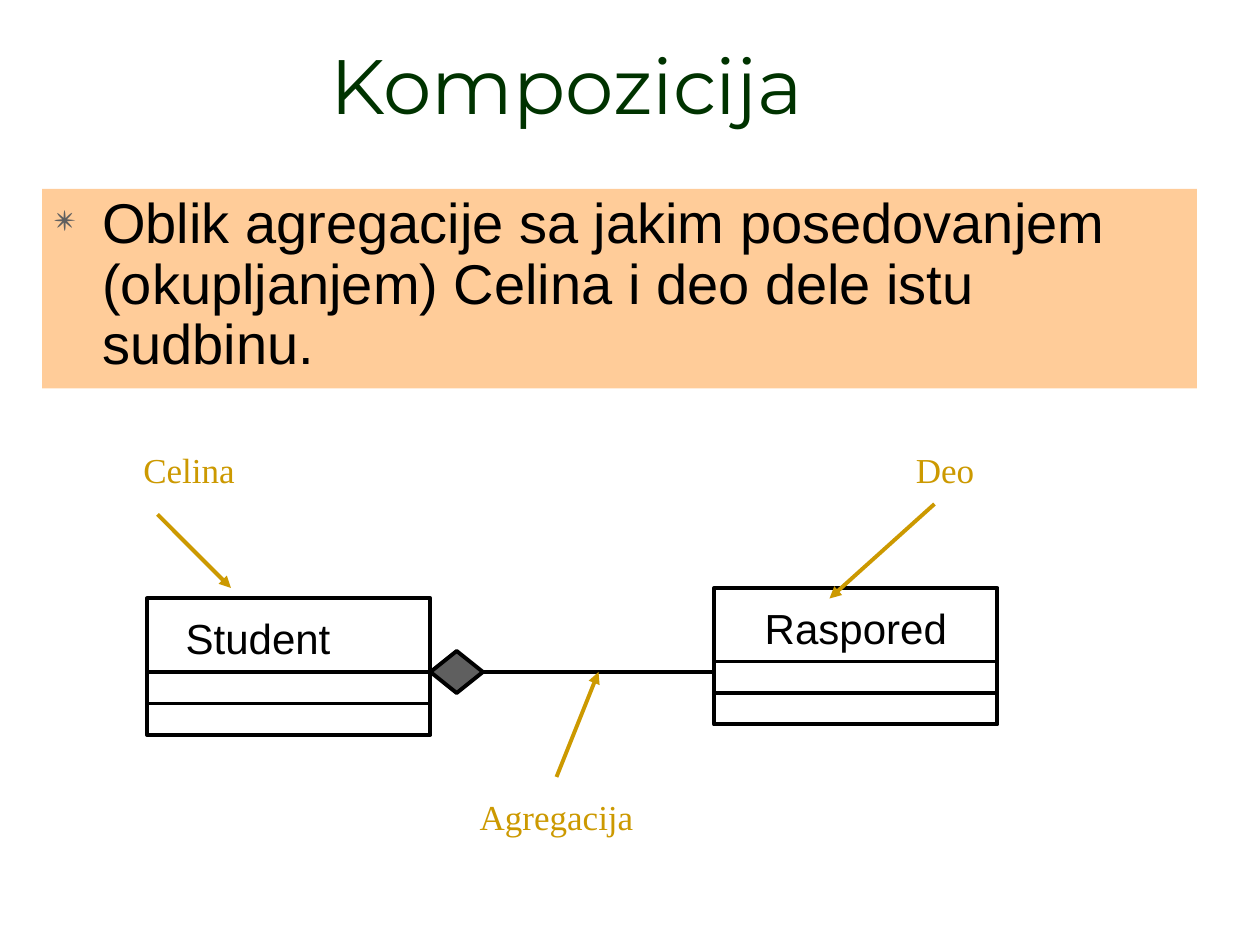
from pptx import Presentation
from pptx.dml.color import RGBColor as Rgb
from pptx.enum.shapes import MSO_CONNECTOR as Conn, MSO_SHAPE as Kind
from pptx.enum.text import MSO_ANCHOR as Anchor, PP_ALIGN as Align
from pptx.oxml.ns import qn
from pptx.util import Inches, Pt
from lxml.etree import SubElement as Sub

COLS, ROWS = 120, 90
HUES = {"ink": "000000", "gold": "CC9900", "green": "003300",
        "peach": "FFCC99", "gray": "5F5F5F"}


def write(frame, text, font="Arial", size=24, hue="ink", align=Align.LEFT,
          anchor=Anchor.TOP, pad=(0.1, 0.05), mark=None, lead=None):
    frame.word_wrap = True
    frame.vertical_anchor = anchor
    frame.margin_left = frame.margin_right = Inches(pad[0])
    frame.margin_top = frame.margin_bottom = Inches(pad[1])
    frame.text = text
    para = frame.paragraphs[0]
    para.alignment = align
    if lead:
        para.line_spacing = lead
    if mark:
        props = para._p.get_or_add_pPr()
        props.set("marL", str(Inches(0.38)))
        props.set("indent", str(-Inches(0.38)))
        Sub(Sub(props, qn("a:buClr")), qn("a:srgbClr"), val=HUES["gray"])
        Sub(props, qn("a:buSzPct"), val="65000")
        Sub(props, qn("a:buChar"), char=mark)
    for part in (para.font, para.runs[0].font):
        part.name, part.size = font, Pt(size)
        part.color.rgb = Rgb.from_string(HUES[hue])


class Board:
    def __init__(self, deck):
        self.wide = deck.slide_width / COLS
        self.high = deck.slide_height / ROWS
        self.slide = deck.slides.add_slide(deck.slide_layouts[5])
        self.shapes = self.slide.shapes

    def place(self, x, y, w, h):
        return (round(x * self.wide), round(y * self.high),
                round(w * self.wide), round(h * self.high))

    def title(self, text, *area):
        head = self.shapes.title
        head.left, head.top, head.width, head.height = self.place(*area)
        write(head.text_frame, text, font="Montserrat", size=44, hue="green",
              align=Align.CENTER, anchor=Anchor.BOTTOM)

    def shape(self, *area, kind=Kind.RECTANGLE, fill=None, edge="ink", home=None):
        item = (home or self.shapes).add_shape(kind, *self.place(*area))
        item.shadow.inherit = False
        if fill:
            item.fill.solid()
            item.fill.fore_color.rgb = Rgb.from_string(HUES[fill])
        else:
            item.fill.background()
        if edge:
            item.line.color.rgb = Rgb.from_string(HUES[edge])
            item.line.width = Pt(2.25)
        else:
            item.line.fill.background()
        return item

    def text(self, text, *area, home=None, **style):
        box = (home or self.shapes).add_textbox(*self.place(*area))
        write(box.text_frame, text, **style)

    def label(self, text, x, y):
        self.text(text, x, y, 28, 5.4, font="Times New Roman", size=20,
                  hue="gold", align=Align.CENTER, pad=(0.12, 0.06))

    def line(self, *ends, hue="ink", arrow=False, home=None):
        item = (home or self.shapes).add_connector(
            Conn.STRAIGHT, *self.place(*ends))
        item.line.color.rgb = Rgb.from_string(HUES[hue])
        item.line.width = Pt(2.25)
        if arrow:
            Sub(item.line._get_or_add_ln(), qn("a:tailEnd"), type="triangle")
        Sub(item._element.spPr, qn("a:effectLst"))
        return item

    def entity(self, name, x, y, align):
        home = self.shapes.add_group_shape().shapes
        self.shape(x, y, 27, 13, home=home)
        self.text(name, x + 2.5, y + 0.75, 22, 6, home=home, align=align)
        for row in (y + 7, y + 10):
            self.line(x, row, x + 27, row, home=home)


def main():
    deck = Presentation()
    deck.slide_width, deck.slide_height = Inches(10), Inches(7.5)
    board = Board(deck)
    board.title("Kompozicija", 5, 3, 98, 10)
    body = board.shape(4, 18, 110, 19, fill="peach", edge=None)
    write(body.text_frame,
          "Oblik agregacije sa jakim posedovanjem (okupljanjem) "
          "Celina i deo dele istu sudbinu.",
          size=32, mark="✴", lead=0.9)

    board.entity("Student", 14, 57, Align.LEFT)
    board.entity("Raspored", 68, 56, Align.CENTER)
    gem = board.shape(41, 62, 5, 4, kind=Kind.DIAMOND, fill="gray")
    board.line(46, 64, 68, 64).begin_connect(gem, 3)

    for name, x, y, ends in (
            ("Celina", 4, 42, (15, 49, 22, 56)),
            ("Agregacija", 39, 75, (53, 74, 57, 64)),
            ("Deo", 76, 42, (89, 48, 79, 57))):
        board.label(name, x, y)
        board.line(*ends, hue="gold", arrow=True)
    deck.save("out.pptx")


if __name__ == "__main__":
    main()
